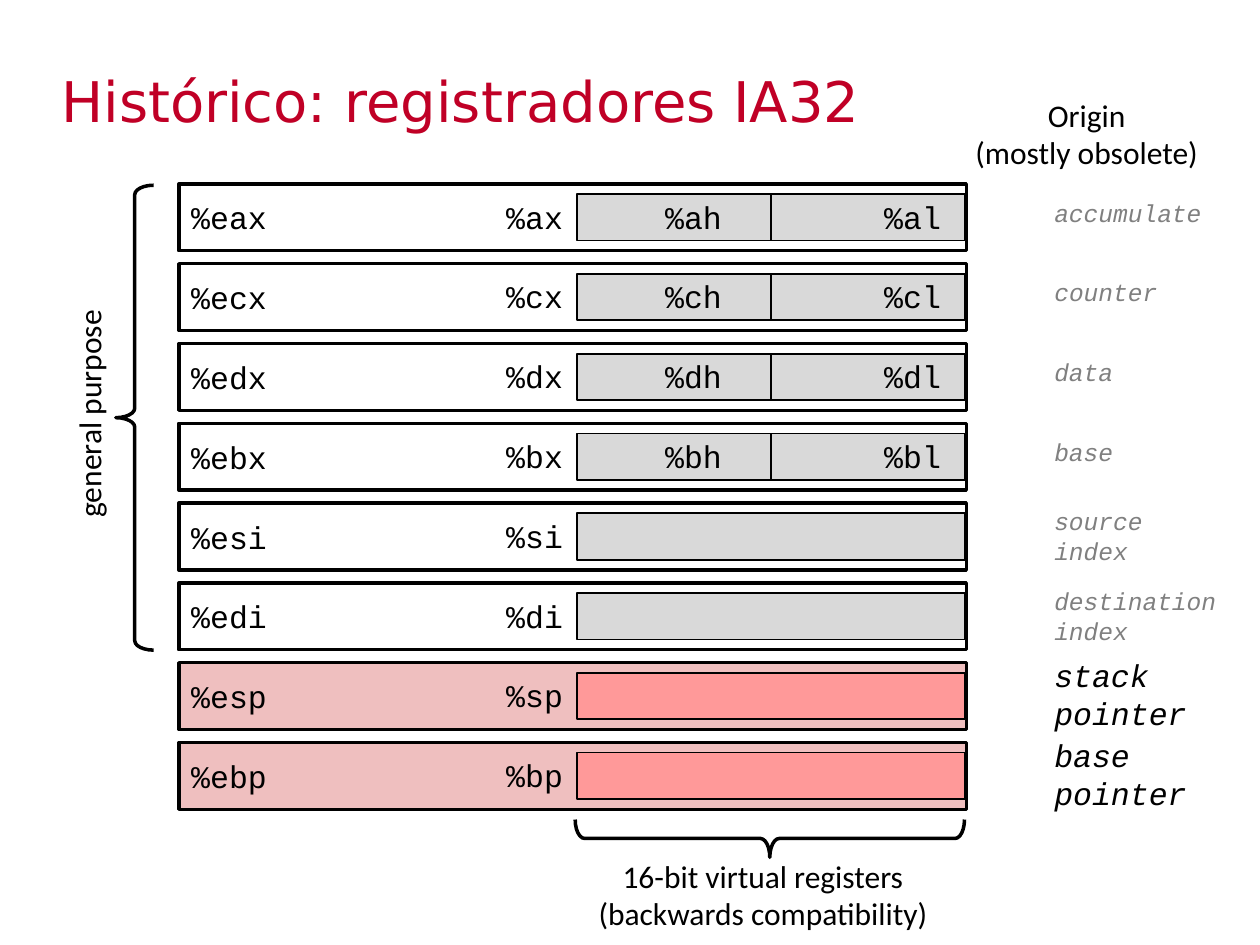
from dataclasses import dataclass

import pptx
import pptx.dml.color
import pptx.enum.shapes
import pptx.enum.text
import pptx.oxml.ns
import pptx.util
from lxml import etree

Pt = pptx.util.Pt
Shape = pptx.enum.shapes.MSO_SHAPE
Align = pptx.enum.text.PP_ALIGN
Anchor = pptx.enum.text.MSO_ANCHOR


@dataclass(frozen=True)
class Theme:
    ink: str = "000000"
    title: str = "C00026"
    muted: str = "808080"
    paper: str = "FFFFFF"
    half: str = "D9D9D9"
    pointer: str = "EFBFBF"
    pointer_half: str = "FF9999"
    sans: str = "Calibri"
    mono: str = "Courier New"
    heading: str = "DejaVu Sans"
    title_size: int = 32
    body_size: int = 18
    note_size: int = 14


class RegisterPage:
    def __init__(self, page, theme):
        self.page = page
        self.theme = theme

    def color(self, value):
        return pptx.dml.color.RGBColor.from_string(value)

    def add_lines(self, box, lines, font, size, color, align=Align.LEFT, italic=False):
        frame = box.text_frame
        frame.word_wrap = True
        for index, line in enumerate(lines):
            para = frame.add_paragraph() if index else frame.paragraphs[0]
            para.alignment = align
            span = para.add_run()
            span.text = line
            span.font.name = font
            span.font.size = Pt(size)
            span.font.italic = italic
            span.font.color.rgb = self.color(color)

    def text(self, bounds, lines, font, size=None, color=None, rotation=0, **style):
        box = self.page.shapes.add_textbox(*map(Pt, bounds))
        box.rotation = rotation
        self.add_lines(box, lines, font, size or self.theme.body_size,
                       color or self.theme.ink, **style)

    def outline(self, kind, bounds, weight):
        shape = self.page.shapes.add_shape(kind, *map(Pt, bounds))
        shape.shadow.inherit = False
        shape.line.color.rgb = self.color(self.theme.ink)
        shape.line.width = Pt(weight)
        return shape

    def bar(self, bounds, fill, weight, label=None):
        box = self.outline(Shape.RECTANGLE, bounds, weight)
        box.fill.solid()
        box.fill.fore_color.rgb = self.color(fill)
        if label:
            box.text_frame.vertical_anchor = Anchor.MIDDLE
            self.add_lines(box, [label], self.theme.mono, self.theme.body_size,
                           self.theme.ink)
        return box

    def divider(self, box):
        middle = box.left + box.width // 2
        line = self.page.shapes.add_connector(
            pptx.enum.shapes.MSO_CONNECTOR.STRAIGHT,
            middle, box.top, middle, box.top + box.height)
        line.begin_connect(box, 0)
        line.end_connect(box, 2)
        line.line.color.rgb = self.color(self.theme.ink)
        line.line.width = Pt(1)
        properties = line._element.spPr
        etree.SubElement(properties, pptx.oxml.ns.qn("a:effectLst"))

    def brace(self, bounds, rotation):
        brace = self.outline(Shape.RIGHT_BRACE, bounds, 2)
        brace.fill.background()
        brace.adjustments[0] = 0.25
        brace.adjustments[1] = 0.5
        brace.rotation = rotation


# Full register, 16-bit half, byte names, origin lines, origin width
REGISTERS = [
    ("%eax", "%ax", ("%ah", "%al"), ["accumulate"], 122.4),
    ("%ecx", "%cx", ("%ch", "%cl"), ["counter"], 99.4),
    ("%edx", "%dx", ("%dh", "%dl"), ["data"], 82.1),
    ("%ebx", "%bx", ("%bh", "%bl"), ["base"], 122.4),
    ("%esi", "%si", (), ["source", "index"], 122.4),
    ("%edi", "%di", (), ["destination", "index"], 141.1),
    ("%esp", "%sp", (), ["stack", "pointer"], 122.4),
    ("%ebp", "%bp", (), ["base", "pointer"], 122.4),
]
GENERAL_COUNT = 6
PITCH = 45.6
ROW_TOP, HALF_TOP, LABEL_TOP = 105.1, 110.9, 109.4
HALF_LEFT, HALF_WIDTH = 329.8, 221.8
BYTE_LEFTS = (373, 498.2)


def main():
    theme = Theme()
    deck = pptx.Presentation()
    deck.slide_width, deck.slide_height = Pt(720), Pt(540)
    page = RegisterPage(deck.slides.add_slide(deck.slide_layouts[6]), theme)

    # Title
    page.text((28.1, 34.6, 597.6, 59.8), ["Histórico: registradores IA32"],
              theme.heading, theme.title_size, theme.title)

    # Register rows
    for row, (full, half, byte_names, origin, origin_width) in enumerate(REGISTERS):
        general = row < GENERAL_COUNT
        step = row * PITCH
        label_top = LABEL_TOP + step
        page.bar((102.2, ROW_TOP + step, 450, 38.2),
                 theme.paper if general else theme.pointer, 2, full)
        half_box = page.bar((HALF_LEFT, HALF_TOP + step, HALF_WIDTH, 26.6),
                            theme.half if general else theme.pointer_half, 1)
        if byte_names:
            page.divider(half_box)
        page.text((282.2, label_top, 54, 28.8), [half], theme.mono)
        for left, name in zip(BYTE_LEFTS, byte_names):
            page.text((left, label_top, 54, 28.8), [name], theme.mono)

        # Origin of the name, lifted when it takes two lines
        size = theme.note_size if general else theme.body_size
        lift = (6 if general else 11.5) if len(origin) > 1 else 0
        height = 7.2 + len(origin) * size * 1.18
        page.text((595.4, label_top - lift, origin_width, height), origin, theme.mono,
                  size, theme.muted if general else theme.ink, italic=True)

    # Braces and captions
    page.brace((429.1, 367.9, 21.6, 222.5), 90)
    page.text((329.8, 486, 212.4, 50.4),
              ["16-bit virtual registers", "(backwards compatibility)"],
              theme.sans, align=Align.CENTER)
    page.brace((66.2, 105.8, 21.6, 265.7), 180)
    page.text((-33.8, 203.8, 169.2, 28.8), ["general purpose"], theme.sans, rotation=270)
    page.text((524.9, 51.1, 192.2, 50.4), ["Origin", "(mostly obsolete)"],
              theme.sans, align=Align.CENTER)

    deck.save("out.pptx")


if __name__ == "__main__":
    main()
